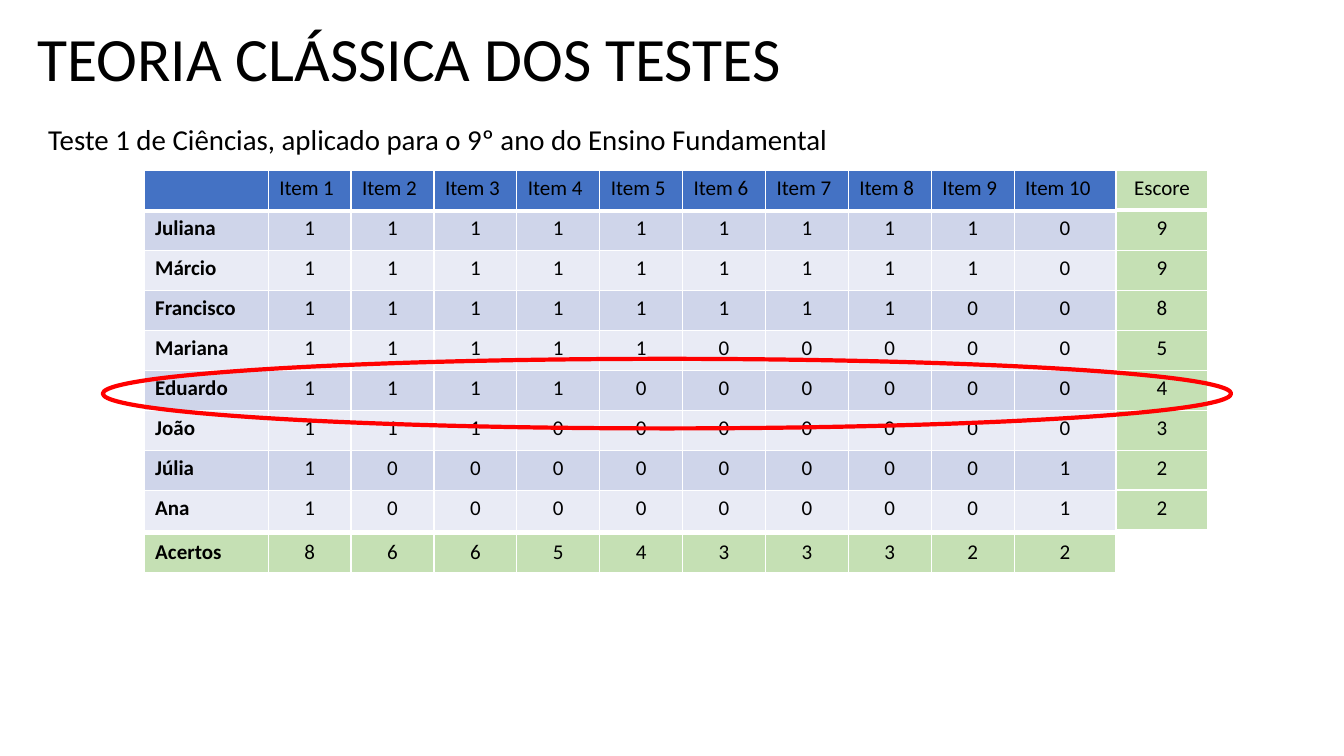
from dataclasses import dataclass

from lxml.etree import SubElement
from pptx import Presentation
from pptx.dml.color import RGBColor as Color
from pptx.enum.shapes import MSO_SHAPE as Shape
from pptx.enum.text import MSO_ANCHOR as Anchor, PP_ALIGN as Align
from pptx.oxml.ns import qn
from pptx.util import Inches, Pt


@dataclass(frozen=True)
class Theme:
    font: str = "Calibri"
    text: str = "000000"
    header: str = "4472C4"
    bands: tuple = ("CFD5EA", "E9EBF5")
    total: str = "C5E0B4"
    border: str = "FFFFFF"
    highlight: str = "FF0000"
    title_size: float = 44
    subtitle_size: float = 20.6
    cell_size: float = 15
    thin: float = 1
    thick: float = 3


theme = Theme()


def write(frame, text, size=theme.cell_size, bold=False, align=Align.LEFT, spacing=1.0):
    para = frame.paragraphs[0]
    para.alignment = align
    para.line_spacing = spacing
    span = para.add_run()
    span.text = text
    span.font.name = theme.font
    span.font.size = Pt(size)
    span.font.bold = bold
    span.font.color.rgb = Color.from_string(theme.text)


def add_grid(left, top, widths, rows, fills, thick_first_row=True):
    """Draw a table whose text entries align left and whose numbers are centred."""
    grid = page.shapes.add_table(len(rows), len(widths), Inches(left), Inches(top),
                                 Inches(sum(widths)), Inches(row_height * len(rows))).table
    grid.first_row = grid.horz_banding = False
    for column, width in zip(grid.columns, widths):
        column.width = Inches(width)
    for r, (values, fill) in enumerate(zip(rows, fills)):
        grid.rows[r].height = Inches(row_height)
        for c, value in enumerate(values):
            cell = grid.cell(r, c)
            cell.margin_left = cell.margin_right = Inches(0.11)
            cell.margin_top = cell.margin_bottom = Inches(0.05)
            for side in ("L", "R", "T", "B"):
                heavy = thick_first_row and r == 0 and side == "B"
                edge = SubElement(cell._tc.get_or_add_tcPr(), qn(f"a:ln{side}"),
                                  w=str(Pt(theme.thick if heavy else theme.thin)))
                paint = SubElement(edge, qn("a:solidFill"))
                SubElement(paint, qn("a:srgbClr"), val=theme.border)
            cell.fill.solid()
            cell.fill.fore_color.rgb = Color.from_string(fill)
            centred = isinstance(value, int) or value == "Escore"
            write(cell.text_frame, str(value), bold=c == 0 and r + (len(rows) == 1) > 0 and not centred,
                  align=Align.CENTER if centred else Align.LEFT)


answers = {
    "Juliana": "1111111110",
    "Márcio": "1111111110",
    "Francisco": "1111111100",
    "Mariana": "1111100000",
    "Eduardo": "1111000000",
    "João": "1110000000",
    "Júlia": "1000000001",
    "Ana": "1000000001",
}
marks = [[int(mark) for mark in line] for line in answers.values()]
items = [f"Item {number}" for number in range(1, 11)]

table_left, table_top, row_height = 1.43, 1.69, 3.57 / 9
widths = [1.23] + [0.82] * 9 + [1.01]
score_left = 11.07
widths[1:10] = [(score_left - table_left - widths[0] - widths[-1]) / 9] * 9

deck = Presentation()
deck.slide_width, deck.slide_height = Inches(13.33), Inches(7.5)
page = deck.slides.add_slide(deck.slide_layouts[5])

title = page.shapes.title
title.left, title.top, title.width, title.height = map(Inches, (0.27, 0.22, 12.8, 0.79))
title.text_frame.vertical_anchor = Anchor.MIDDLE
write(title.text_frame, "TEORIA CLÁSSICA DOS TESTES", size=theme.title_size, spacing=0.9)

subtitle = page.shapes.add_textbox(0, Inches(1.13), Inches(8.69), Inches(0.54))
subtitle.text_frame.word_wrap = True
subtitle.text_frame.vertical_anchor = Anchor.MIDDLE
write(subtitle.text_frame, "Teste 1 de Ciências, aplicado para o 9º ano do Ensino Fundamental",
      size=theme.subtitle_size, align=Align.CENTER, spacing=0.9)

student_rows = [[name, *line] for name, line in zip(answers, marks)]
band_fills = [theme.bands[index % 2] for index in range(len(marks))]
add_grid(table_left, table_top, widths, [["", *items], *student_rows],
         [theme.header, *band_fills])

score_rows = [["Escore"], *([sum(line)] for line in marks)]
add_grid(score_left, table_top, [0.91], score_rows, [theme.total] * len(score_rows))

hits = [sum(column) for column in zip(*marks)]
add_grid(table_left, 5.3, widths, [["Acertos", *hits]], [theme.total])

ring = page.shapes.add_shape(Shape.OVAL, *map(Inches, (1.02, 3.56, 11.19, 0.69)))
ring.shadow.inherit = False
ring.fill.background()
ring.line.color.rgb = Color.from_string(theme.highlight)
ring.line.width = Pt(theme.thick)

deck.save("out.pptx")
